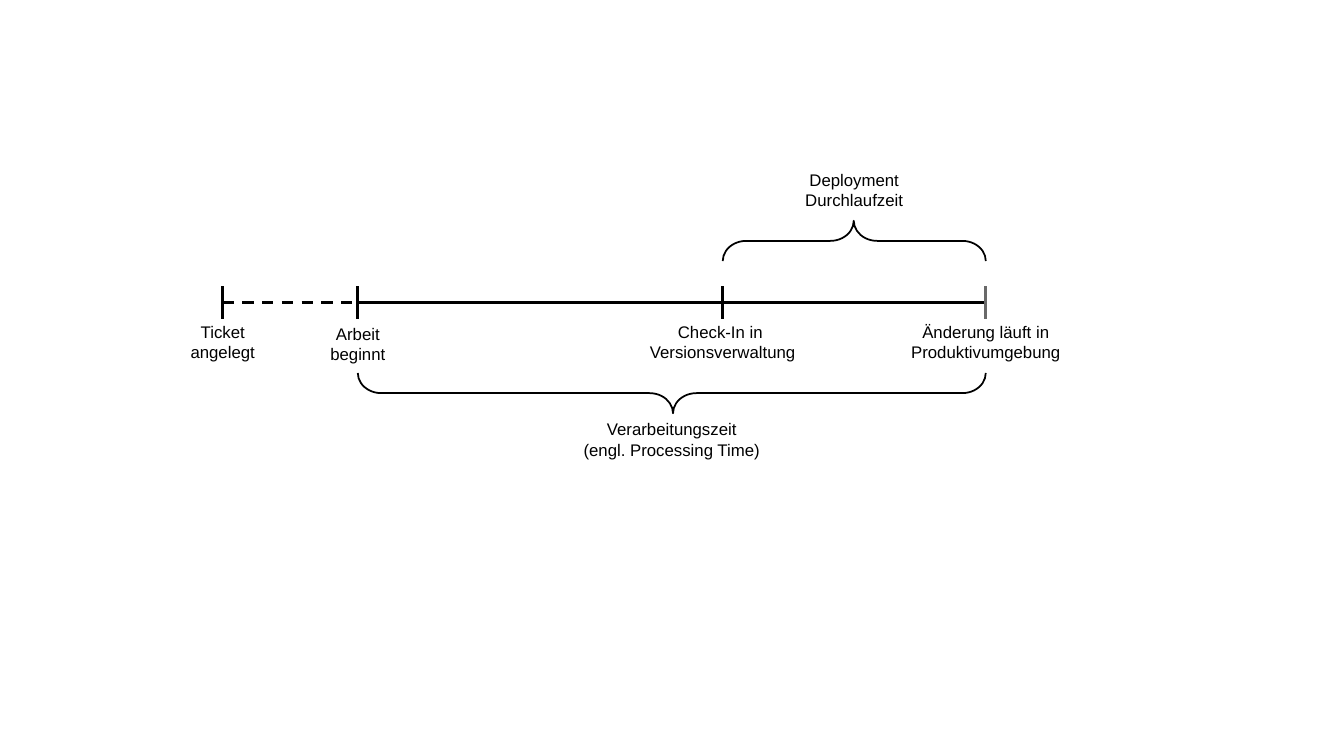
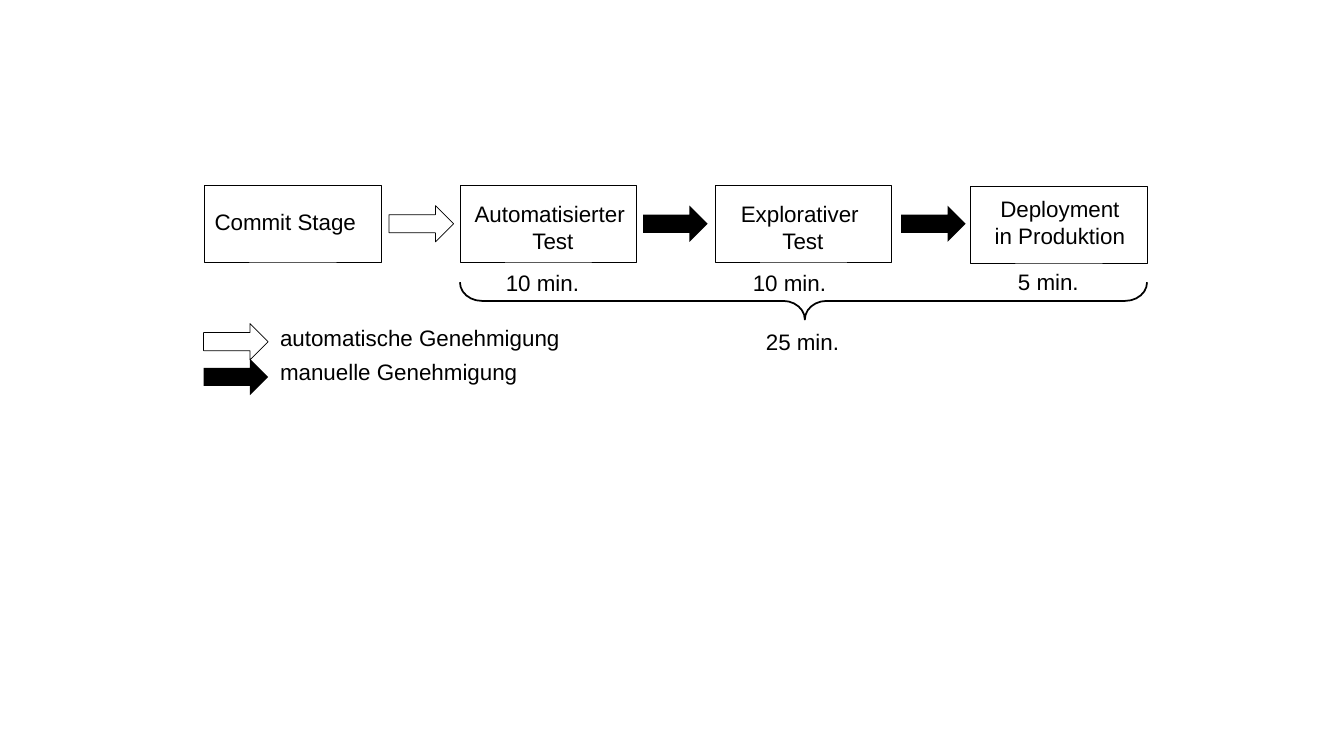
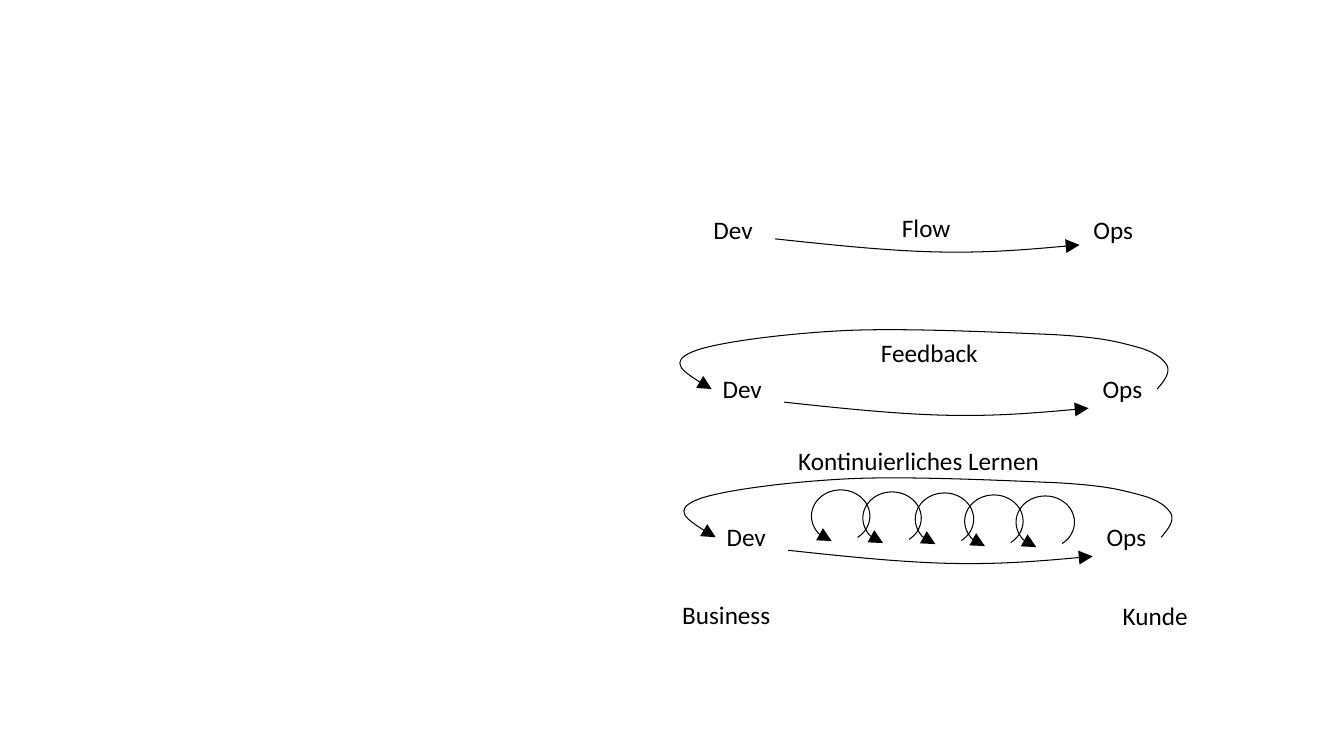
from lxml import etree
from pptx import Presentation
from pptx.dml.color import RGBColor
from pptx.enum import dml, shapes, text
from pptx.oxml import ns
from pptx.util import Inches, Pt


class Theme:
    black = RGBColor(0, 0, 0)
    white = RGBColor(255, 255, 255)
    grey = RGBColor(0x69, 0x69, 0x69)
    time = {"name": "Arial", "size": Pt(12)}
    stage = {"name": "Arial", "size": Pt(16)}
    loop = {"name": "Calibri", "size": Pt(18)}
    hair, thin, mid, bold = 0.5, 0.75, 1.25, 2
    frame = {"word_wrap": False,
             "auto_size": text.MSO_AUTO_SIZE.SHAPE_TO_FIT_TEXT}


KIND = shapes.MSO_SHAPE
LEFT, MID = text.PP_ALIGN.LEFT, text.PP_ALIGN.CENTER

# Slide 1: milestones (centre x, label top, label width, text, tick colour)
AXIS, TICK = 3, 0.16
MARKS = [
    (2.21, 3.14, 0.84, "Ticket\nangelegt", Theme.black),
    (3.55, 3.16, 0.75, "Arbeit\nbeginnt", Theme.black),
    (7.17, 3.14, 1.65, "Check-In in \nVersionsverwaltung", Theme.black),
    (9.78, 3.14, 1.69, "Änderung läuft in\nProduktivumgebung", Theme.grey),
]
# Spans (first mark, last mark, brace top, turn, label top, width, text)
SPANS = [
    (1, 3, 3.7, 270, 4.11, 1.97, "Verarbeitungszeit\n(engl. Processing Time)"),
    (2, 3, 2.19, 90, 1.63, 1.18, "Deployment\nDurchlaufzeit"),
]

# Slide 2: stages and their notes (left, top, width, height, text, alignment)
BOX = (1.75, 0.76)
FIRST, LAST = 2.03, 9.63
TOPS = [1.84, 1.84, 1.84, 1.85]
STEP = (LAST - FIRST) / (len(TOPS) - 1)
NOTES = [
    (2.03, 2.02, 1.62, 0.37, "Commit Stage", LEFT),
    (4.6, 1.94, 1.77, 0.64, "Automatisierter \nTest", MID),
    (7.24, 1.94, 1.45, 0.64, "Explorativer \nTest", MID),
    (9.76, 1.89, 1.51, 0.64, "Deployment\nin Produktion", MID),
    (4.92, 2.62, 0.94, 0.37, "10 min.", LEFT),
    (7.37, 2.62, 0.94, 0.37, "10 min.", LEFT),
    (10, 2.61, 0.81, 0.37, "5 min.", LEFT),
    (7.5, 3.21, 0.94, 0.37, "25 min.", LEFT),
    (2.68, 3.17, 3.01, 0.37, "automatische Genehmigung", LEFT),
    (2.68, 3.5, 2.58, 0.37, "manuelle Genehmigung", LEFT),
]
# Arrows (left, top, manual approval)
GATES = [(3.86, 2.04, False), (6.38, 2.04, True), (8.94, 2.04, True),
         (2.02, 3.21, False), (2.02, 3.56, True)]

# Slide 3: rows (left, top, drop of the flow arrow, has feedback)
ROWS = [(6.98, 2.08, 0.29, False), (7.07, 3.65, 0.34, True),
        (7.11, 5.12, 0.34, True)]
WORDS = [
    (8.85, 2.06, 0.73, "Flow"),
    (8.64, 3.3, 1.31, "Feedback"),
    (7.82, 4.37, 2.84, "Kontinuierliches Lernen"),
    (6.67, 5.9, 1.23, "Business"),
    (11.04, 5.91, 0.93, "Kunde"),
]
# Bezier points, relative to the start of each curve
FLOW = [(0, 0), (0.56, 0.06), (1.12, 0.12), (1.62, 0.13),
        (2.13, 0.14), (2.57, 0.1), (3.02, 0.06)]
BACK = [(0, 0), (0.07, -0.08), (0.13, -0.16), (0.1, -0.23),
        (0.06, -0.3), (-0.02, -0.37), (-0.21, -0.42),
        (-0.4, -0.47), (-0.53, -0.51), (-1.02, -0.54),
        (-1.5, -0.56), (-2.51, -0.61), (-3.11, -0.58),
        (-3.71, -0.55), (-4.4, -0.46), (-4.61, -0.37),
        (-4.85, -0.27), (-4.65, -0.13), (-4.42, 0)]
RINGS = [(8.05, 4.86), (8.56, 4.88), (9.08, 4.89), (9.57, 4.91),
         (10.08, 4.92)]


# Shared helpers
def ink(shape, fill, line, width=Theme.thin):
    shape.shadow.inherit = False
    for part, color in ((shape.fill, fill), (shape.line.fill, line)):
        if color is None:
            part.background()
        else:
            part.solid()
            part.fore_color.rgb = color
    if line is not None:
        shape.line.width = Pt(width)
    return shape


def form(slide, kind, *box):
    return slide.shapes.add_shape(kind, *map(Inches, box))


def label(slide, box, words, font, align=LEFT):
    frame = slide.shapes.add_textbox(*map(Inches, box)).text_frame
    for key, value in Theme.frame.items():
        setattr(frame, key, value)
    para = frame.paragraphs[0]
    para.text, para.alignment = words, align
    for run in para.runs:
        for key, value in font.items():
            setattr(run.font, key, value)
        run.font.color.rgb = Theme.black


def rule(slide, x1, y1, x2, y2, color=Theme.black, dash=None):
    line = slide.shapes.add_connector(
        shapes.MSO_CONNECTOR.STRAIGHT, *map(Inches, (x1, y1, x2, y2)))
    line.line.color.rgb = color
    line.line.width = Pt(Theme.bold)
    if dash:
        line.line.dash_style = dash
    etree.SubElement(line._element.spPr, ns.qn("a:effectLst"))


def brace(slide, x1, x2, top, deep, turn):
    span = x2 - x1
    shape = form(slide, KIND.LEFT_BRACE, (x1 + x2 - deep) / 2,
                 top + (deep - span) / 2, deep, span)
    shape.rotation = turn
    shape.adjustments[0], shape.adjustments[1] = 0.583, 0.502
    ink(shape, None, Theme.black, Theme.mid)


def tip(shape, end):
    line = shape.line._get_or_add_ln()
    etree.SubElement(line, ns.qn("a:" + end), type="triangle",
                     w="lg", len="lg")


def curve(slide, x, y, points):
    dots = [(Inches(x + px), Inches(y + py)) for px, py in points]
    ends = dots[::3]
    path = slide.shapes.build_freeform(*ends[0])
    path.add_line_segments(ends[1:], close=False)
    shape = ink(path.convert_to_shape(), None, Theme.black)
    # Bend each straight segment into a Bezier curve
    for i, part in enumerate(list(shape._element.iter(ns.qn("a:lnTo")))):
        part.tag = ns.qn("a:cubicBezTo")
        for n, (px, py) in enumerate(dots[3 * i + 1:3 * i + 3]):
            spot = etree.Element(ns.qn("a:pt"), x=str(px - shape.left),
                                 y=str(py - shape.top))
            part.insert(n, spot)
    tip(shape, "tailEnd")


# Slides
def times(slide):
    xs = [mark[0] for mark in MARKS]
    rule(slide, xs[0], AXIS, xs[1], AXIS, dash=dml.MSO_LINE.DASH)
    rule(slide, xs[1], AXIS, xs[-1], AXIS)
    for x, top, wide, words, color in MARKS:
        rule(slide, x, AXIS + TICK, x, AXIS - TICK, color)
        label(slide, (x - wide / 2, top, wide, 0.5), words, Theme.time, MID)
    for a, b, top, turn, y, wide, words in SPANS:
        brace(slide, xs[a], xs[b], top, 0.4, turn)
        left = (xs[a] + xs[b] - wide) / 2
        label(slide, (left, y, wide, 0.5), words, Theme.time, MID)


def stages(slide):
    for i, top in enumerate(TOPS):
        box = form(slide, KIND.RECTANGLE, FIRST + i * STEP, top, *BOX)
        ink(box, Theme.white, Theme.black, Theme.hair)
    for x, y, manual in GATES:
        gate = form(slide, KIND.RIGHT_ARROW, x, y, 0.64, 0.36)
        if manual:
            ink(gate, Theme.black, None)
        else:
            ink(gate, Theme.white, Theme.black, Theme.hair)
    for *box, words, align in NOTES:
        label(slide, box, words, Theme.stage, align)
    brace(slide, FIRST + STEP, LAST + BOX[0], 2.8, 0.37, 270)


def loops(slide):
    for x, y, drop, back in ROWS:
        label(slide, (x, y, 0.65, 0.4), "Dev", Theme.loop)
        label(slide, (x + 3.77, y, 0.66, 0.4), "Ops", Theme.loop)
        curve(slide, x + 0.71, y + drop, FLOW)
        if back:
            curve(slide, x + 4.41, y + 0.21, BACK)
    for x, y, wide, words in WORDS:
        label(slide, (x, y, wide, 0.4), words, Theme.loop)
    for x, y in RINGS:
        ring = form(slide, KIND.ARC, x, y, 0.58, 0.52)
        ring.adjustments[0], ring.adjustments[1] = 65.866, 30.914
        ink(ring, None, Theme.black)
        tip(ring, "headEnd")


def main():
    deck = Presentation()
    deck.slide_width, deck.slide_height = Inches(40) // 3, Inches(7.5)
    for draw in (times, stages, loops):
        draw(deck.slides.add_slide(deck.slide_layouts[6]))
    deck.save("out.pptx")


if __name__ == "__main__":
    main()
